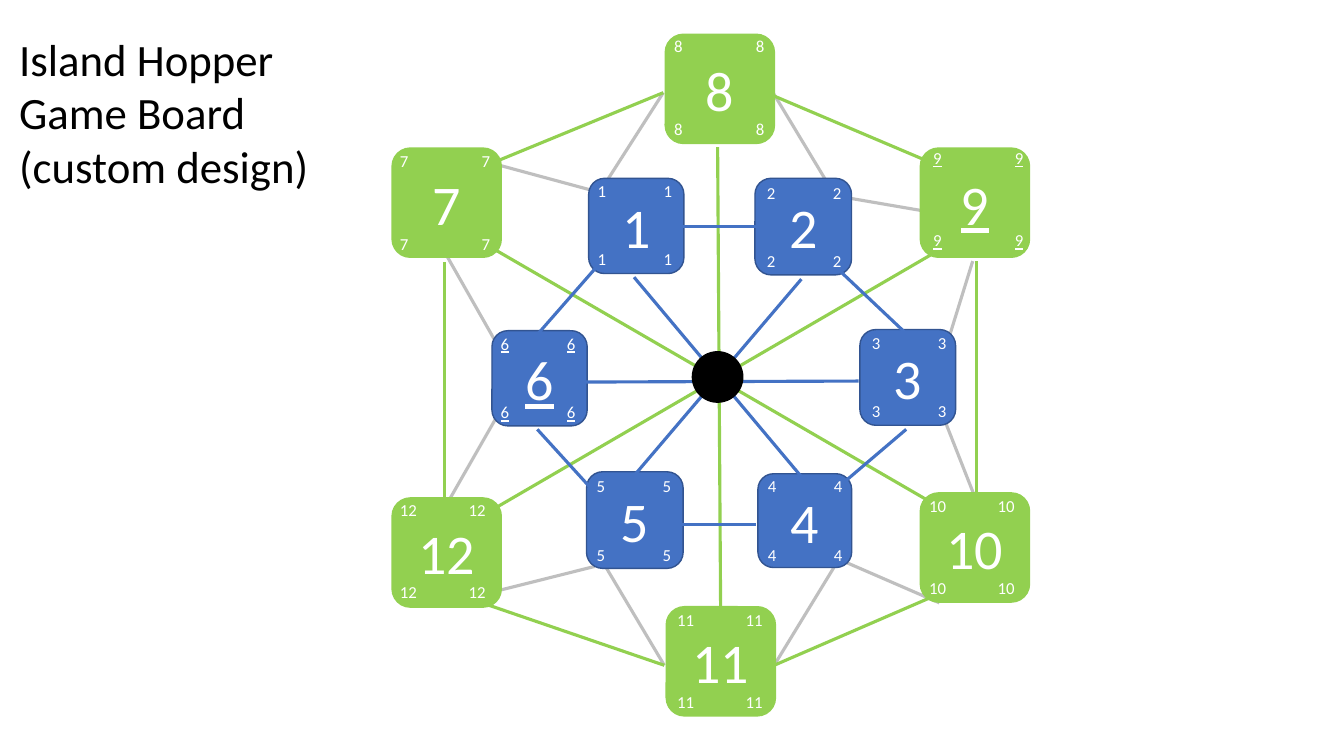
"""Builds the Island Hopper game board slide."""
from lxml import etree
from pptx import Presentation
from pptx.dml.color import RGBColor
from pptx.enum.shapes import MSO_CONNECTOR, MSO_SHAPE
from pptx.enum.text import MSO_ANCHOR, MSO_AUTO_SIZE, PP_ALIGN
from pptx.oxml.ns import qn
from pptx.util import Pt

STRAIGHT = MSO_CONNECTOR.STRAIGHT
ROUNDED, OVAL = MSO_SHAPE.ROUNDED_RECTANGLE, MSO_SHAPE.OVAL
TOP, MIDDLE = MSO_ANCHOR.TOP, MSO_ANCHOR.MIDDLE
LEFT, CENTER = PP_ALIGN.LEFT, PP_ALIGN.CENTER
NO_FIT, GROW = MSO_AUTO_SIZE.NONE, MSO_AUTO_SIZE.SHAPE_TO_FIT_TEXT
GRAY, GREEN, BLUE, NAVY = "BFBFBF", "92D050", "4472C4", "325491"
WHITE, BLACK = "FFFFFF", "000000"
UNDERLINED = (6, 9)


def color(hex_code):
    return RGBColor.from_string(hex_code)


def format_text(paragraph, size, hex_code, alignment, underline=None):
    paragraph.alignment = alignment
    paragraph.font.name = "Calibri"
    paragraph.font.size = Pt(size)
    paragraph.font.color.rgb = color(hex_code)
    paragraph.font.underline = underline


presentation = Presentation()
presentation.slide_width, presentation.slide_height = Pt(960), Pt(540)
slide = presentation.slides.add_slide(presentation.slide_layouts[5])
shapes = slide.shapes

title = shapes.title
title.left, title.top, title.width, title.height = Pt(6.5), Pt(18.7), Pt(249), Pt(124)
title_frame = title.text_frame
title_frame.text = "Island Hopper Game Board\n(custom design)"
title_frame.word_wrap = True
title_frame.auto_size = NO_FIT
title_frame.vertical_anchor = TOP
for paragraph in title_frame.paragraphs:
    format_text(paragraph, 32, BLACK, LEFT)

bridges = [
    (423.4, 136.1, 351.4, 116.6), (473.8, 66.2, 429.1, 136.1),
    (552.2, 66.2, 596.9, 140.4), (591.8, 139, 671, 152.6),
    (694.8, 186.5, 669.6, 267.8), (666, 277.9, 700.6, 365.8),
    (311.8, 373, 365.8, 278.6), (313.9, 173.5, 370.8, 273.6),
    (586.1, 393.8, 671, 430.6), (600.5, 397.4, 553, 475.2),
    (429.1, 398.9, 474.5, 475.2), (347, 424.1, 424.8, 404.6),
]
outer_routes = [
    (351.4, 177.1, 674.6, 364.3), (351.4, 364.3, 674.6, 176.4),
    (512.6, 105.1, 514.8, 440.6), (317.5, 187.2, 317.5, 358.6),
    (697.7, 186.5, 697.7, 357.8), (344.2, 430.6, 474.5, 475.2),
    (671, 424.1, 553, 475.2), (473.8, 66.2, 340.6, 121),
    (540.7, 63.4, 674.6, 120.2),
]
inner_routes = [
    (429.8, 186.5, 383.8, 239), (548.6, 162, 463.7, 162),
    (594.7, 188.6, 647.3, 238.3), (647.3, 306.7, 589.7, 355.7),
    (428.4, 355.7, 383.8, 306.7), (540, 374.4, 487.4, 374.4),
    (452.9, 198, 573.1, 341.3), (572.4, 199.4, 452.9, 339.8),
    (613.4, 272.2, 417.6, 272.9),
]

# number: tile left, top, size, first corner label left, top
inner_islands = {
    1: (420.5, 127.4, 68, 419.8, 125.3), 2: (539.3, 127.4, 69, 540.7, 126.7),
    3: (614.2, 235.4, 68.4, 615.6, 234), 6: (351.4, 236.2, 68, 350.6, 234.7),
    5: (419, 337, 69, 419, 336.2), 4: (541.4, 338.4, 67, 541.4, 336.2),
}
outer_islands = {
    7: (280.1, 105.8, 78, 278.6, 104.4), 9: (657.4, 105.8, 78, 659.5, 102.2),
    10: (657.4, 352.1, 78, 656.6, 350.6), 8: (475.2, 24.5, 78, 474.5, 22.3),
    11: (475.9, 433.4, 78, 476.6, 432), 12: (280.1, 355.7, 78, 278.6, 353.5),
}

layers = [(bridges, GRAY, {}, None), ([], BLUE, inner_islands, NAVY),
          (outer_routes, GREEN, outer_islands, GREEN), (inner_routes, BLUE, {}, None)]
for routes, hue, islands, outline in layers:
    for number, (left, top, size, _, _) in islands.items():
        tile = shapes.add_shape(ROUNDED, Pt(left), Pt(top), Pt(size), Pt(size))
        tile.shadow.inherit = False
        tile.fill.solid()
        tile.fill.fore_color.rgb = color(hue)
        tile.line.color.rgb = color(outline)
        tile.line.width = Pt(1)
        tile.text_frame.text = str(number)
        tile.text_frame.vertical_anchor = MIDDLE
        format_text(tile.text_frame.paragraphs[0], 40, WHITE, CENTER, number in UNDERLINED)
    for route in routes:
        connector = shapes.add_connector(STRAIGHT, *map(Pt, route))
        connector.line.color.rgb = color(hue)
        connector.line.width = Pt(2.25)
        etree.SubElement(connector._element.spPr, qn("a:effectLst"))

hub = shapes.add_shape(OVAL, Pt(494.6), Pt(251.3), Pt(36), Pt(36))
hub.shadow.inherit = False
hub.fill.solid()
hub.fill.fore_color.rgb = color(BLACK)
hub.line.color.rgb = color(BLACK)
hub.line.width = Pt(1)

for islands, label_span, row_step in ((outer_islands, 79.2, 58.7), (inner_islands, 68.1, 49)):
    for number, (_, _, _, label_left, label_top) in islands.items():
        label_width = 20.9 if number < 10 else 26.6
        column_step = label_span - label_width if number < 10 else 49
        for row in range(2):
            for column in range(2):
                label = shapes.add_textbox(
                    Pt(label_left + column * column_step), Pt(label_top + row * row_step),
                    Pt(label_width), Pt(21.8))
                label.text_frame.text = str(number)
                label.text_frame.word_wrap = False
                label.text_frame.auto_size = GROW
                format_text(label.text_frame.paragraphs[0], 12, WHITE, LEFT, number in UNDERLINED)

presentation.save("out.pptx")
